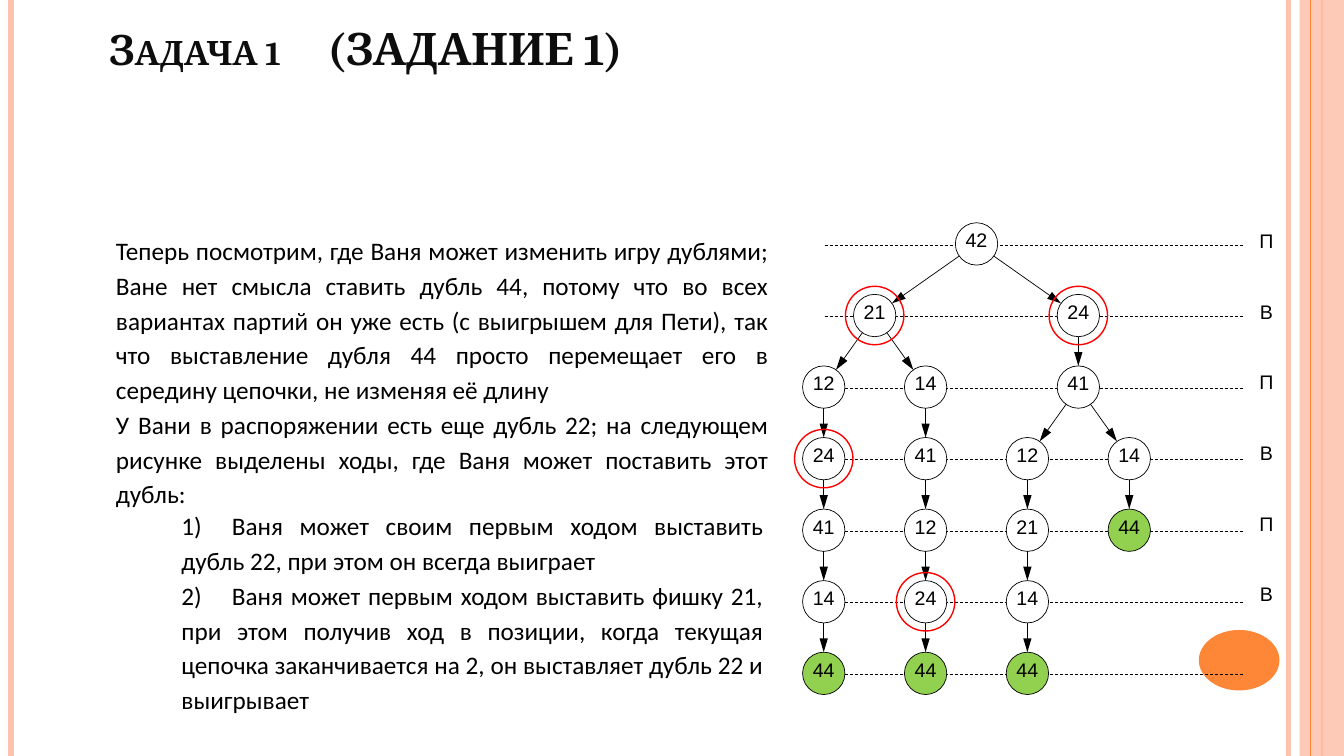
import math

from lxml import etree
from pptx import Presentation
from pptx.dml.color import RGBColor
from pptx.enum.dml import MSO_LINE
from pptx.enum.shapes import MSO_CONNECTOR, MSO_SHAPE
from pptx.enum.text import MSO_ANCHOR, MSO_AUTO_SIZE, PP_ALIGN
from pptx.oxml.ns import qn
from pptx.util import Inches, Pt

STRAIGHT = MSO_CONNECTOR.STRAIGHT
RECTANGLE, OVAL = MSO_SHAPE.RECTANGLE, MSO_SHAPE.OVAL
DASH = MSO_LINE.DASH
LEFT, CENTER, JUSTIFY = PP_ALIGN.LEFT, PP_ALIGN.CENTER, PP_ALIGN.JUSTIFY
TOP, MIDDLE, BOTTOM = MSO_ANCHOR.TOP, MSO_ANCHOR.MIDDLE, MSO_ANCHOR.BOTTOM
NO_AUTOFIT = MSO_AUTO_SIZE.NONE

BLACK, WHITE, GREEN, RED = "000000", "FFFFFF", "92D050", "FF0000"
PEACH, ORANGE, TITLE_COLOR = "FEC3AE", "FE8637", "0D0D0D"

COLUMN_STEP, ROW_STEP = 1.01, 0.71
NODE_SIZE, RING_SIZE = 0.42, 0.58
ROW_LABELS = "ПВПВПВ"

# Game tree: name -> (column, row, number, parent)
NODES = {
    "root": (1.5, 0, "42", None),
    "left": (0.5, 1, "21", "root"), "right": (2.5, 1, "24", "root"),
    "a2": (0, 2, "12", "left"), "b2": (1, 2, "14", "left"),
    "c2": (2.5, 2, "41", "right"),
    "a3": (0, 3, "24", "a2"), "b3": (1, 3, "41", "b2"),
    "c3": (2, 3, "12", "c2"), "d3": (3, 3, "14", "c2"),
    "a4": (0, 4, "41", "a3"), "b4": (1, 4, "12", "b3"),
    "c4": (2, 4, "21", "c3"), "d4": (3, 4, "44", "d3"),
    "a5": (0, 5, "14", "a4"), "b5": (1, 5, "24", "b4"),
    "c5": (2, 5, "14", "c4"),
    "a6": (0, 6, "44", "a5"), "b6": (1, 6, "44", "b5"),
    "c6": (2, 6, "44", "c5"),
}
RINGED = ("left", "right", "a3", "b5")

INTRO = [
    "Теперь посмотрим, где Ваня может изменить игру дублями; Ване нет смысла "
    "ставить дубль 44, потому что во всех вариантах партий он уже есть "
    "(с выигрышем для Пети), так что выставление дубля 44 просто перемещает "
    "его в середину цепочки, не изменяя её длину",
    "У Вани в распоряжении есть еще дубль 22; на следующем рисунке выделены "
    "ходы, где Ваня может поставить этот дубль:",
]
CASES = [
    "1)\tВаня может своим первым ходом выставить дубль 22, при этом он всегда "
    "выиграет",
    "2)\tВаня может первым ходом выставить фишку 21, при этом получив ход "
    "в позиции, когда текущая цепочка заканчивается на 2, он выставляет "
    "дубль 22 и выигрывает",
]


def color(hex_string):
    return RGBColor.from_string(hex_string)


def set_alpha(element, percent):
    for value in element.iter(qn("a:srgbClr")):
        etree.SubElement(value, qn("a:alpha"), val=str(percent * 1000))


def add_tab_stop(properties, position):
    tabs = etree.SubElement(properties, qn("a:tabLst"))
    etree.SubElement(tabs, qn("a:tab"), pos=str(Inches(position)), algn="l")


def style_font(font, name, size, hex_string):
    font.name, font.size = name, Pt(size)
    font.color.rgb = color(hex_string)


def add_line(slide, start, end, hex_string=BLACK, width=0.5):
    line = slide.shapes.add_connector(STRAIGHT, *map(Inches, start + end))
    line.line.color.rgb = color(hex_string)
    line.line.width = Pt(width)
    etree.SubElement(line._element.spPr, qn("a:effectLst"))
    return line


def add_plain_shape(slide, kind, box, fill=None, outline=None, width=0.5):
    shape = slide.shapes.add_shape(kind, *map(Inches, box))
    shape.shadow.inherit = False
    if fill:
        shape.fill.solid()
        shape.fill.fore_color.rgb = color(fill)
    else:
        shape.fill.background()
    if outline:
        shape.line.color.rgb = color(outline)
        shape.line.width = Pt(width)
    else:
        shape.line.fill.background()
    return shape


def write_number(shape, text):
    frame = shape.text_frame
    frame.margin_left = frame.margin_right = frame.margin_top = 0
    frame.margin_bottom = Inches(0.08)
    frame.vertical_anchor = MIDDLE
    frame.word_wrap = False
    frame.text = text
    paragraph = frame.paragraphs[0]
    paragraph.alignment = CENTER
    style_font(paragraph.runs[0].font, "Arial", 14, BLACK)


def place(shape, box, anchor):
    shape.left, shape.top, shape.width, shape.height = map(Inches, box)
    frame = shape.text_frame
    frame.auto_size, frame.vertical_anchor = NO_AUTOFIT, anchor
    frame.word_wrap = True
    return frame


def add_frame_decor(slide, width, height):
    # Vertical rules, side band and page-number disc
    for x, hex_string, weight in ((width - 0.55, PEACH, 3), (0.11, PEACH, 4.5),
                                  (width - 0.22, ORANGE, 1.5)):
        add_line(slide, (x, 0), (x, height), hex_string, weight)
    band = add_plain_shape(slide, RECTANGLE, (width - 0.44, 0, 0.44, height), PEACH)
    set_alpha(band._element.spPr, 87)
    add_line(slide, (width - 0.33, 0), (width - 0.33, height), ORANGE, 0.75)
    add_plain_shape(slide, OVAL, (width - 1.44, height - 1.25, 0.8, 0.6), ORANGE)


def fill_title(shape, box):
    paragraph = place(shape, box, BOTTOM).paragraphs[0]
    paragraph.alignment = LEFT
    add_tab_stop(paragraph._p.get_or_add_pPr(), 2.17)
    for text, size in (("Задача 1\t", 30), ("(задание 1)", 40)):
        run = paragraph.add_run()
        run.text = text
        style_font(run.font, "Cambria", size, TITLE_COLOR)
        run.font.bold = True
        run._r.get_or_add_rPr().set("cap", "small")


def fill_body(shape, box, texts, indent=0, tab=None):
    frame = place(shape, box, TOP)
    frame.text = "\n".join(texts)
    for paragraph in frame.paragraphs:
        paragraph.alignment = JUSTIFY
        paragraph.line_spacing = 1.15
        paragraph.space_before = Pt(0)
        properties = paragraph._p.get_or_add_pPr()
        properties.set("marL", str(Inches(indent)))
        properties.set("indent", "0")
        etree.SubElement(properties, qn("a:buNone"))
        if tab:
            add_tab_stop(properties, tab)
        style_font(paragraph.runs[0].font, "Calibri", 18, BLACK)


def add_arrow(slide, start, end):
    # Runs from the rim of one node to the rim of the next
    distance = math.dist(start, end)
    dx, dy = ((b - a) / distance * NODE_SIZE / 2 for a, b in zip(start, end))
    arrow = add_line(slide, (start[0] + dx, start[1] + dy), (end[0] - dx, end[1] - dy))
    etree.SubElement(arrow.line._get_or_add_ln(), qn("a:tailEnd"),
                     type="triangle", w="med", len="lg")


def add_game_tree(slide, left, top, width):
    def square(center, size):
        return center[0] - size / 2, center[1] - size / 2, size, size

    centers = {name: (left + 0.3 + column * COLUMN_STEP, top + 0.2 + row * ROW_STEP)
               for name, (column, row, _, _) in NODES.items()}
    # Level lines and player labels
    for row in range(len(ROW_LABELS) + 1):
        y = top + 0.21 + row * ROW_STEP
        level = add_line(slide, (left + 0.31, y), (left + width - 0.43, y))
        level.line.dash_style = DASH
    for row, player in enumerate(ROW_LABELS):
        box = (left + width - 0.4, top + row * 0.7, 0.4, NODE_SIZE)
        write_number(slide.shapes.add_textbox(*map(Inches, box)), player)
    # Numbered nodes
    for name, (_, _, number, _) in NODES.items():
        fill = GREEN if number == "44" else WHITE
        node = add_plain_shape(slide, OVAL, square(centers[name], NODE_SIZE), fill, BLACK)
        write_number(node, number)
    # Moves and highlighted positions
    for name, (_, _, _, parent) in NODES.items():
        if parent:
            add_arrow(slide, centers[parent], centers[name])
    for name in RINGED:
        add_plain_shape(slide, OVAL, square(centers[name], RING_SIZE), None, RED, 1)


def main():
    presentation = Presentation()
    presentation.slide_width, presentation.slide_height = Inches(13.33), Inches(7.5)
    slide = presentation.slides.add_slide(presentation.slide_layouts[3])
    title, intro, cases = list(slide.placeholders)[:3]
    add_frame_decor(slide, 13.33, 7.5)
    fill_title(title, (0.98, 0, 11.13, 0.81))
    fill_body(intro, (1.05, 2.24, 6.67, 2.87), INTRO)
    fill_body(cases, (1, 4.97, 6.67, 2.19), CASES, indent=0.7, tab=1.16)
    add_game_tree(slide, 7.87, 2.22, 4.89)
    presentation.save("out.pptx")


if __name__ == "__main__":
    main()
